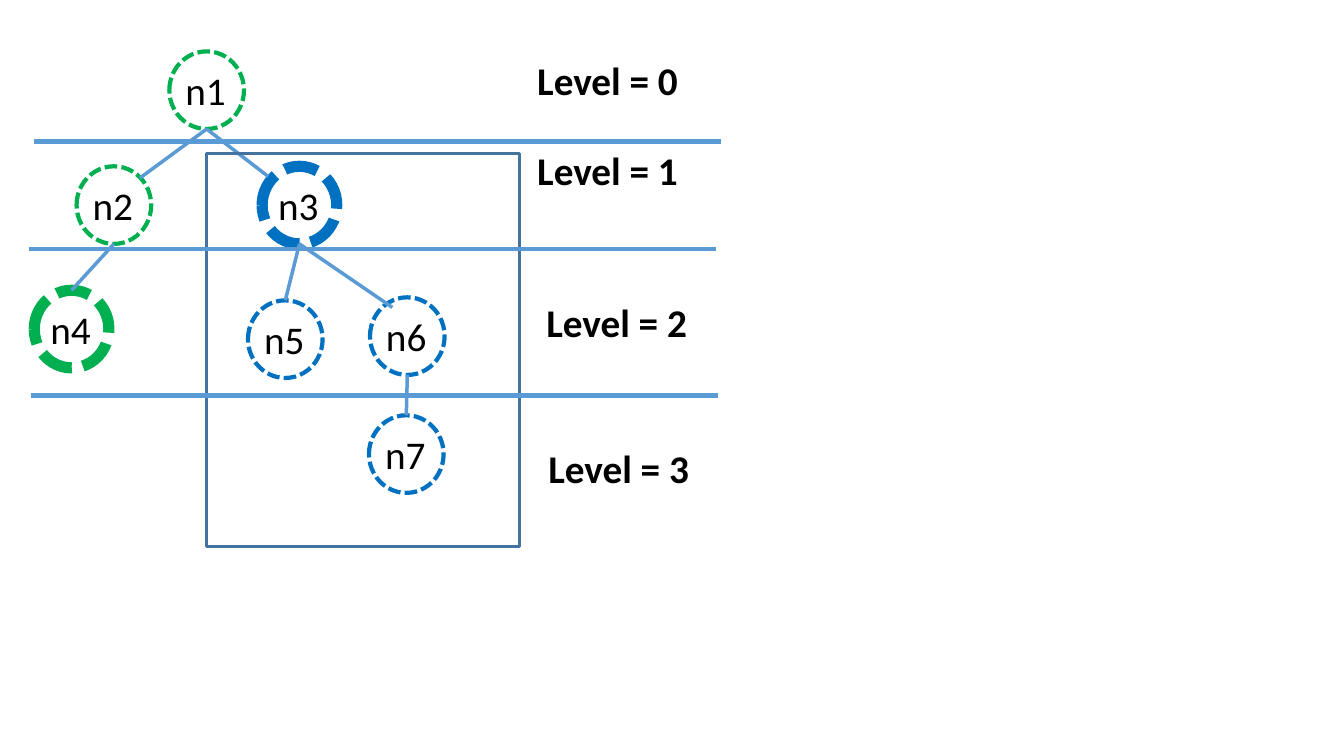
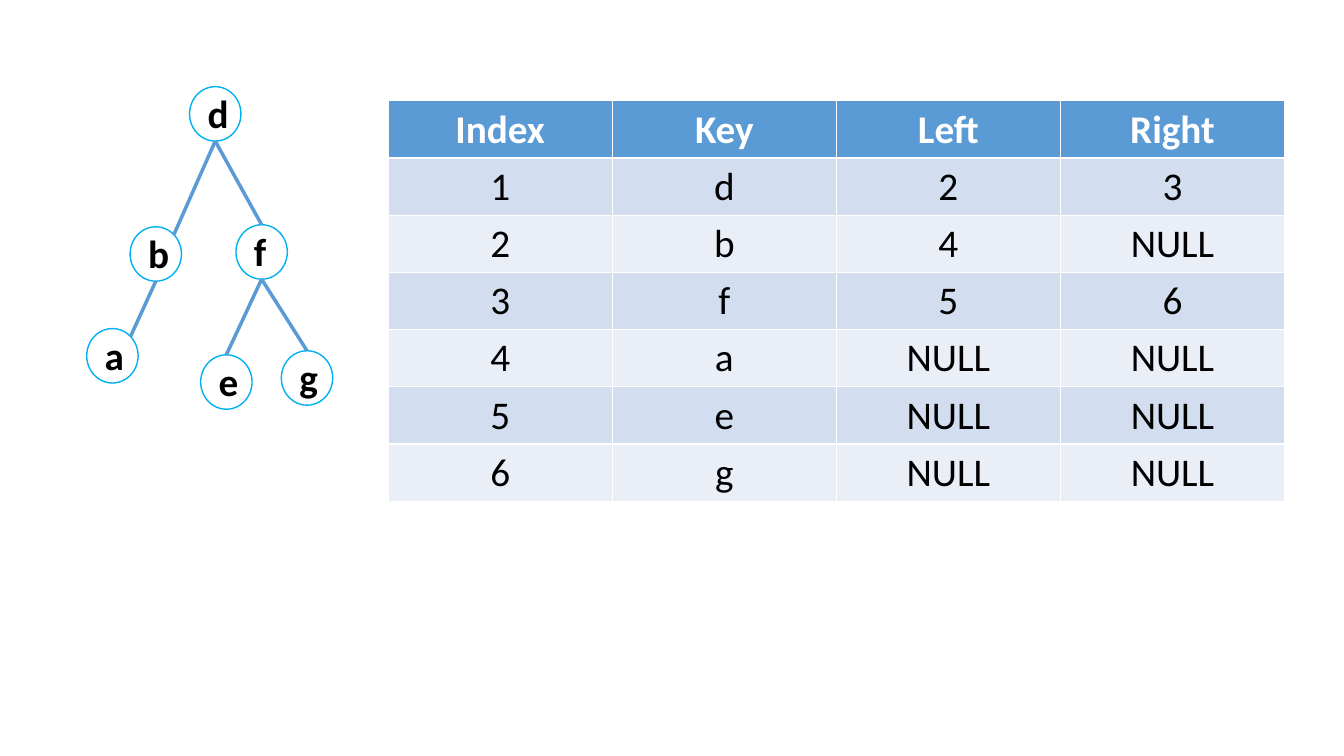
"""Build two slides: a binary tree with its levels, and a tree stored as a table."""
from pptx import Presentation
from pptx.dml.color import RGBColor
from pptx.enum.dml import MSO_LINE
from pptx.enum.shapes import MSO_CONNECTOR, MSO_SHAPE
from pptx.enum.text import PP_ALIGN
from pptx.oxml.ns import qn
from pptx.util import Inches, Pt

FONT, SIZE = "Calibri", 28
BLACK, WHITE = "000000", "FFFFFF"
LINE, BOX = "5B9BD5", "43739E"
GREEN, BLUE, CYAN = "00B050", "0070C0", "00B0F0"
BANDS = ("D2DEEF", "EAEFF7")

TOP, TOP_RIGHT = (0.5, 0), (0.85, 0.15)

# name: left, top, colour, line width, parent, point of the circle where the edge ends
LEVEL_TREE = {
    "n1": (1.68, 0.51, GREEN, 3, None, None),
    "n2": (0.76, 1.65, GREEN, 3, "n1", TOP_RIGHT),
    "n3": (2.6, 1.65, BLUE, 8, "n1", (0.08, 0.13)),
    "n5": (2.46, 2.98, BLUE, 3, "n3", TOP),
    "n6": (3.67, 2.95, BLUE, 3, "n3", (0.3, 0.13)),
    "n7": (3.66, 4.12, BLUE, 3, "n6", TOP),
    "n4": (0.34, 2.88, GREEN, 8, "n2", TOP),
}
KEY_TREE = {
    "d": (1.88, 0.86, CYAN, 1, None, None),
    "b": (1.29, 2.25, CYAN, 1, "d", TOP_RIGHT),
    "a": (0.86, 3.26, CYAN, 1, "b", TOP_RIGHT),
    "f": (2.34, 2.23, CYAN, 1, "d", TOP),
    "e": (1.99, 3.52, CYAN, 1, "f", TOP),
    "g": (2.79, 3.48, CYAN, 1, "f", TOP),
}
LEVELS = [(5.23, 0.51), (5.23, 1.4), (5.32, 2.91), (5.34, 4.36)]
DIVIDERS = [(0.34, 1.4), (0.29, 2.47), (0.31, 3.92)]
DIVIDER_WIDTH = 6.81
ROWS = [
    ("Index", "Key", "Left", "Right"),
    ("1", "d", "2", "3"),
    ("2", "b", "4", "NULL"),
    ("3", "f", "5", "6"),
    ("4", "a", "NULL", "NULL"),
    ("5", "e", "NULL", "NULL"),
    ("6", "g", "NULL", "NULL"),
]


def rgb(value):
    return RGBColor.from_string(value)


def style_text(tf, text, color=BLACK, bold=False):
    tf.text = text
    font = tf.paragraphs[0].runs[0].font
    font.name, font.size, font.bold = FONT, Pt(SIZE), bold
    font.color.rgb = rgb(color)


def add_label(s, text, left, top, width, bold=False):
    tf = s.shapes.add_textbox(*map(Inches, (left, top, width, 0.57))).text_frame
    tf.word_wrap = True
    style_text(tf, text, bold=bold)


def add_outline(s, kind, box, color, width, fill=None):
    sp = s.shapes.add_shape(kind, *map(Inches, box))
    sp.shadow.inherit = False
    if fill:
        sp.fill.solid()
        sp.fill.fore_color.rgb = rgb(fill)
    else:
        sp.fill.background()
    sp.line.color.rgb = rgb(color)
    sp.line.width = Pt(width)
    return sp


def add_line(s, start, end, width):
    line = s.shapes.add_connector(MSO_CONNECTOR.STRAIGHT, *map(Inches, (*start, *end)))
    line.line.color.rgb = rgb(LINE)
    line.line.width = Pt(width)
    sp_pr = line._element.spPr
    sp_pr.append(sp_pr.makeelement(qn("a:effectLst"), {}))


def add_tree(s, tree, size, label, fill=None, dash=None, bold=False):
    w, h = size
    dx, dy, label_width = label
    for name, (x, y, color, width, *_) in tree.items():
        circle = add_outline(s, MSO_SHAPE.OVAL, (x, y, w, h), color, width, fill)
        if dash:
            circle.line.dash_style = dash
        add_label(s, name, x + dx, y + dy, label_width, bold)
    for x, y, _, _, parent, point in tree.values():
        if parent:
            px, py = tree[parent][:2]
            add_line(s, (px + w / 2, py + h), (x + point[0] * w, y + point[1] * h), 2.5)


def add_grid(s, rows, box):
    table = s.shapes.add_table(len(rows), len(rows[0]), *map(Inches, box)).table
    for i, row in enumerate(rows):
        header = i == 0
        for j, text in enumerate(row):
            cell = table.cell(i, j)
            cell.fill.solid()
            cell.fill.fore_color.rgb = rgb(LINE if header else BANDS[(i - 1) % 2])
            style_text(cell.text_frame, text, WHITE if header else BLACK, header)
            cell.text_frame.paragraphs[0].alignment = PP_ALIGN.CENTER


prs = Presentation()
prs.slide_width, prs.slide_height = Inches(13.33), Inches(7.5)
blank = prs.slide_layouts[6]

s = prs.slides.add_slide(blank)
add_tree(s, LEVEL_TREE, (0.74, 0.77), (0.06, 0.1, 0.62), dash=MSO_LINE.SQUARE_DOT)
add_outline(s, MSO_SHAPE.RECTANGLE, (2.05, 1.52, 3.1, 3.9), BOX, 2)
for level, (x, y) in enumerate(LEVELS):
    add_label(s, f"Level = {level}", x, y, 1.92, bold=True)
for x, y in DIVIDERS:
    add_line(s, (x, y), (x + DIVIDER_WIDTH, y), 3.5)

s = prs.slides.add_slide(blank)
add_tree(s, KEY_TREE, (0.51, 0.54), (0.08, -0.02, 0.31), fill=WHITE, bold=True)
add_grid(s, ROWS, (3.85, 1, 8.89, 3.97))

prs.save("out.pptx")
